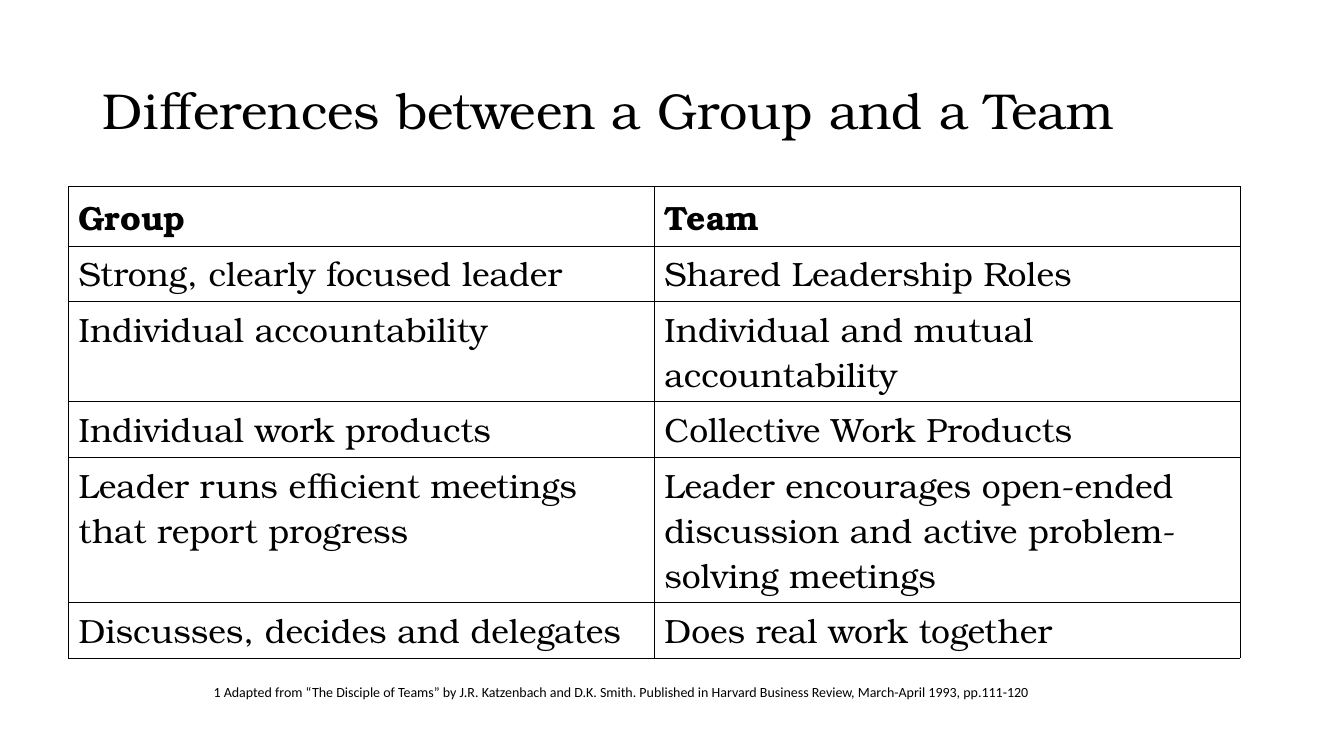
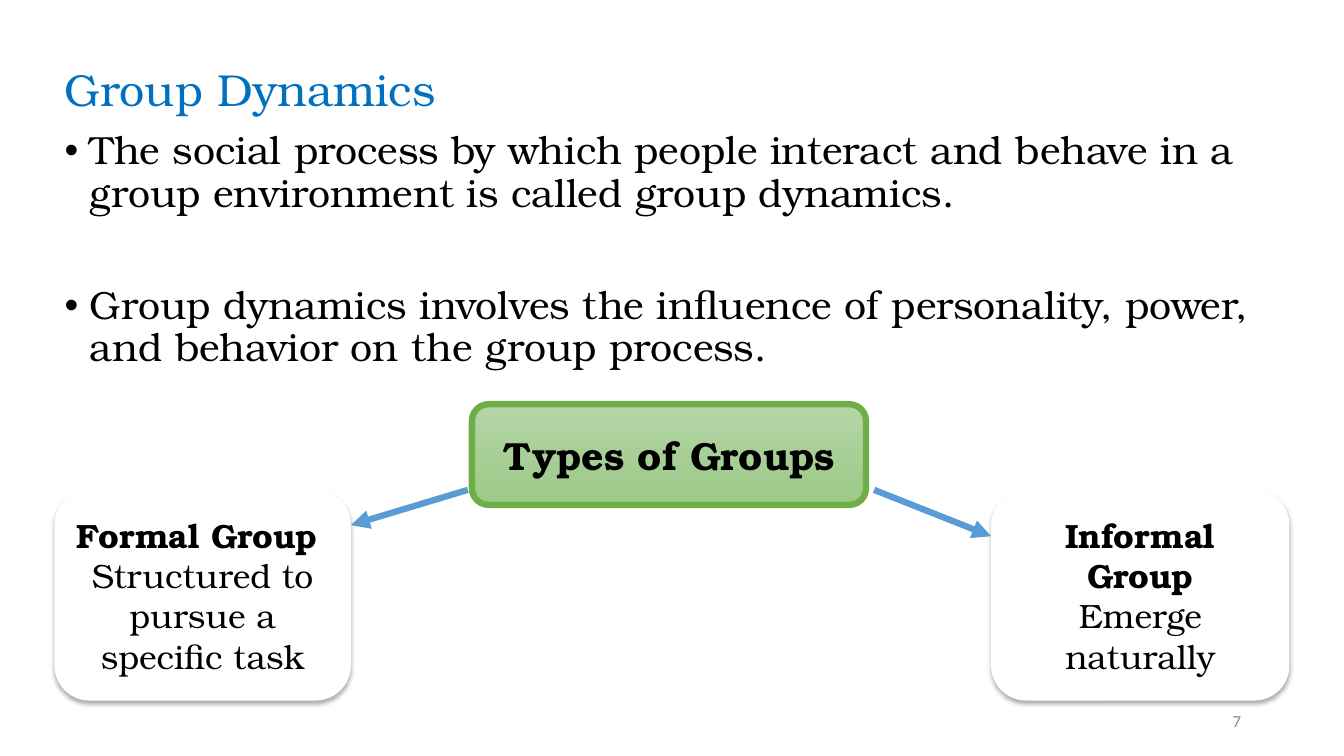
from dataclasses import dataclass
from typing import Any, NamedTuple

from lxml import etree
from pptx import Presentation
from pptx.dml.color import RGBColor
from pptx.enum.shapes import MSO_CONNECTOR, MSO_SHAPE
from pptx.enum.text import MSO_ANCHOR, MSO_AUTO_SIZE, PP_ALIGN
from pptx.oxml.ns import qn
from pptx.util import Inches, Pt

LEFT, CENTER, RIGHT = PP_ALIGN.LEFT, PP_ALIGN.CENTER, PP_ALIGN.RIGHT
TOP, MIDDLE = MSO_ANCHOR.TOP, MSO_ANCHOR.MIDDLE
NO_FIT = MSO_AUTO_SIZE.NONE
ROUNDED = MSO_SHAPE.ROUNDED_RECTANGLE
STRAIGHT = MSO_CONNECTOR.STRAIGHT


@dataclass(frozen=True)
class Theme:
    serif: str = "TeX Gyre Bonum"
    sans: str = "Calibri"
    ink: str = "000000"
    paper: str = "FFFFFF"
    heading: str = "0070C0"
    arrow: str = "5B9BD5"
    green: str = "70AD47"
    green_light: str = "B5D5A7"
    green_dark: str = "9CC987"
    muted: str = "8C8C8C"
    title_size: int = 36
    heading_size: int = 32
    body_size: int = 28
    detail_size: int = 24
    number_size: int = 12
    source_size: int = 10
    heavy_line: float = 4.5
    hairline: float = 0.25
    tight: float = 0.9


THEME = Theme()


class Area(NamedTuple):
    left: float
    top: float
    width: float
    height: float

    def lengths(self) -> list[int]:
        return [Inches(value) for value in self]


class Style(NamedTuple):
    size: int
    color: str = THEME.ink
    bold: bool = False
    font: str = THEME.serif


class Line(NamedTuple):
    text: str
    style: Style


class GroupCard(NamedTuple):
    area: Area
    name: str
    detail: str


class Arrow(NamedTuple):
    start: tuple[float, float]
    end: tuple[float, float]


class ComparisonRow(NamedTuple):
    group: str
    team: str
    height: float


TITLE = Style(THEME.title_size)
HEADING = Style(THEME.heading_size, THEME.heading)
BODY = Style(THEME.body_size)
BODY_BOLD = Style(THEME.body_size, bold=True)
DETAIL = Style(THEME.detail_size)
DETAIL_BOLD = Style(THEME.detail_size, bold=True)
SOURCE = Style(THEME.source_size, font=THEME.sans)
NUMBER = Style(THEME.number_size, THEME.muted, font=THEME.sans)

COMPARISON = [
    ComparisonRow("Group", "Team", 0.59),
    ComparisonRow("Strong, clearly focused leader", "Shared Leadership Roles", 0.55),
    ComparisonRow("Individual accountability", "Individual and mutual accountability", 0.99),
    ComparisonRow("Individual work products", "Collective Work Products", 0.55),
    ComparisonRow(
        "Leader runs efficient meetings that report progress",
        "Leader encourages open-ended discussion and active problem-solving meetings",
        1.44,
    ),
    ComparisonRow("Discusses, decides and delegates", "Does real work together", 0.55),
]
CITATION = (
    "1 Adapted from “The Disciple of Teams” by J.R. Katzenbach and D.K. Smith. "
    "Published in Harvard Business Review, March-April 1993, pp.111-120"
)
DYNAMICS = [
    "The social process by which people interact and behave in a group environment "
    "is called group dynamics.",
    "Group dynamics involves the influence of personality, power, and behavior "
    "on the group process.",
]
CARDS = [
    GroupCard(Area(0.54, 4.86, 2.94, 2.09), "Formal Group ", "Structured to pursue a specific task"),
    GroupCard(Area(9.83, 4.86, 2.96, 2.09), "Informal Group", "Emerge naturally"),
]
ARROWS = [Arrow((4.64, 4.86), (3.48, 5.21)), Arrow((8.67, 4.86), (9.83, 5.32))]


# Shared helpers
def rgb(color: str) -> RGBColor:
    return RGBColor.from_string(color)


def set_all(target: Any, values: dict[str, Any]) -> None:
    for name, value in values.items():
        setattr(target, name, value)


def add_xml(parent: Any, tag: str, **attributes: Any) -> Any:
    names = {name: str(value) for name, value in attributes.items()}
    return etree.SubElement(parent, qn(tag), names)


def add_span(para: Any, line: Line) -> None:
    span = para.add_run()
    span.text = line.text
    style = line.style
    set_all(span.font, {"name": style.font, "size": Pt(style.size), "bold": style.bold})
    span.font.color.rgb = rgb(style.color)


def write(frame: Any, lines: list[Line], anchor: Any = MIDDLE, **layout: Any) -> None:
    """Write one paragraph per line; layout holds paragraph attributes."""
    set_all(frame, {"word_wrap": True, "auto_size": NO_FIT, "vertical_anchor": anchor})
    for index, line in enumerate(lines):
        para = frame.add_paragraph() if index else frame.paragraphs[0]
        set_all(para, layout)
        add_span(para, line)


def place(shape: Any, area: Area) -> None:
    set_all(shape, dict(zip(("left", "top", "width", "height"), area.lengths())))


def add_title(page: Any, area: Area, line: Line, anchor: Any = MIDDLE) -> None:
    title = page.shapes.title
    place(title, area)
    write(title.text_frame, [line], anchor, alignment=LEFT, line_spacing=THEME.tight)


def add_label(page: Any, area: Area, line: Line, align: Any = LEFT) -> None:
    box = page.shapes.add_textbox(*area.lengths())
    write(box.text_frame, [line], alignment=align)


# Table
def set_borders(cell: Any) -> None:
    properties = cell._tc.get_or_add_tcPr()
    for position, side in enumerate(("a:lnL", "a:lnR", "a:lnT", "a:lnB")):
        border = etree.Element(qn(side), {"w": str(Pt(THEME.hairline))})
        fill = add_xml(border, "a:solidFill")
        add_xml(fill, "a:srgbClr", val=THEME.ink)
        properties.insert(position, border)


def add_comparison(page: Any, left: float, top: float, column_width: float) -> None:
    height = sum(row.height for row in COMPARISON)
    area = Area(left, top, 2 * column_width, height)
    table = page.shapes.add_table(len(COMPARISON), 2, *area.lengths()).table
    set_all(table, {"first_row": False, "horz_banding": False})
    for column in table.columns:
        column.width = Inches(column_width)
    for index, row in enumerate(COMPARISON):
        table.rows[index].height = Inches(row.height)
        style = DETAIL if index else DETAIL_BOLD
        for cell, text in zip(table.rows[index].cells, (row.group, row.team)):
            cell.fill.background()
            set_borders(cell)
            add_span(cell.text_frame.paragraphs[0], Line(text, style))


# Bullets and diagram
def add_bullets(page: Any, area: Area, texts: list[str]) -> None:
    body = page.placeholders[1]
    place(body, area)
    frame = body.text_frame
    write(frame, [Line(text, BODY) for text in texts], TOP, line_spacing=THEME.tight)
    for index, para in enumerate(frame.paragraphs):
        properties = para._p.get_or_add_pPr()
        properties.set("marL", str(Inches(0.25)))
        properties.set("indent", str(-Inches(0.25)))
        add_xml(properties, "a:buFont", typeface="Arial")
        add_xml(properties, "a:buChar", char="•")
        para.space_before = Pt(50 if index else 0)


def add_rounded(page: Any, area: Area, lines: list[Line]) -> Any:
    shape = page.shapes.add_shape(ROUNDED, *area.lengths())
    shape.shadow.inherit = False
    write(shape.text_frame, lines, alignment=CENTER)
    return shape


def add_types_box(page: Any) -> None:
    shape = add_rounded(page, Area(4.68, 4.01, 3.91, 1), [Line("Types of Groups", BODY_BOLD)])
    shape.fill.gradient()
    shape.fill.gradient_angle = 270
    stops = shape.fill.gradient_stops
    for stop, color, position in zip(stops, (THEME.green_light, THEME.green_dark), (0, 1)):
        stop.color.rgb = rgb(color)
        stop.position = position
    shape.line.color.rgb = rgb(THEME.green)
    shape.line.width = Pt(THEME.heavy_line)


def add_card(page: Any, card: GroupCard) -> None:
    lines = [Line(card.name, DETAIL_BOLD), Line(card.detail, DETAIL)]
    shape = add_rounded(page, card.area, lines)
    shape.fill.solid()
    shape.fill.fore_color.rgb = rgb(THEME.paper)
    shape.line.fill.background()
    effects = shape._element.spPr.find(qn("a:effectLst"))
    shadow = add_xml(effects, "a:outerShdw", blurRad=Pt(3.5), dist=Pt(2.2),
                     dir=90 * 60000, algn="ctr", rotWithShape=0)
    color = add_xml(shadow, "a:srgbClr", val=THEME.ink)
    add_xml(color, "a:alpha", val=32000)


def add_arrow(page: Any, arrow: Arrow) -> None:
    ends = [Inches(value) for value in (*arrow.start, *arrow.end)]
    connector = page.shapes.add_connector(STRAIGHT, *ends)
    connector.line.color.rgb = rgb(THEME.arrow)
    connector.line.width = Pt(THEME.heavy_line)
    add_xml(connector.line._get_or_add_ln(), "a:tailEnd", type="triangle")
    add_xml(connector._element.spPr, "a:effectLst")


# Slides
def build_comparison(deck: Any) -> None:
    page = deck.slides.add_slide(deck.slide_layouts[5])
    add_title(page, Area(0.92, 0.4, 11.5, 1.45),
              Line("Differences between a Group and a Team", TITLE))
    add_comparison(page, 0.68, 1.85, 5.81)
    add_label(page, Area(2.02, 6.73, 9.29, 0.27), Line(CITATION, SOURCE))


def build_dynamics(deck: Any) -> None:
    page = deck.slides.add_slide(deck.slide_layouts[1])
    add_title(page, Area(0.54, 0.62, 12.34, 0.6), Line("Group Dynamics", HEADING), TOP)
    add_bullets(page, Area(0.54, 1.25, 12.34, 2.6), DYNAMICS)
    add_types_box(page)
    for card in CARDS:
        add_card(page, card)
    for arrow in ARROWS:
        add_arrow(page, arrow)
    add_label(page, Area(9.41, 6.95, 3, 0.4), Line("7", NUMBER), RIGHT)


def main() -> None:
    deck = Presentation()
    set_all(deck, {"slide_width": Inches(13.33), "slide_height": Inches(7.5)})
    build_comparison(deck)
    build_dynamics(deck)
    deck.save("out.pptx")


if __name__ == "__main__":
    main()
